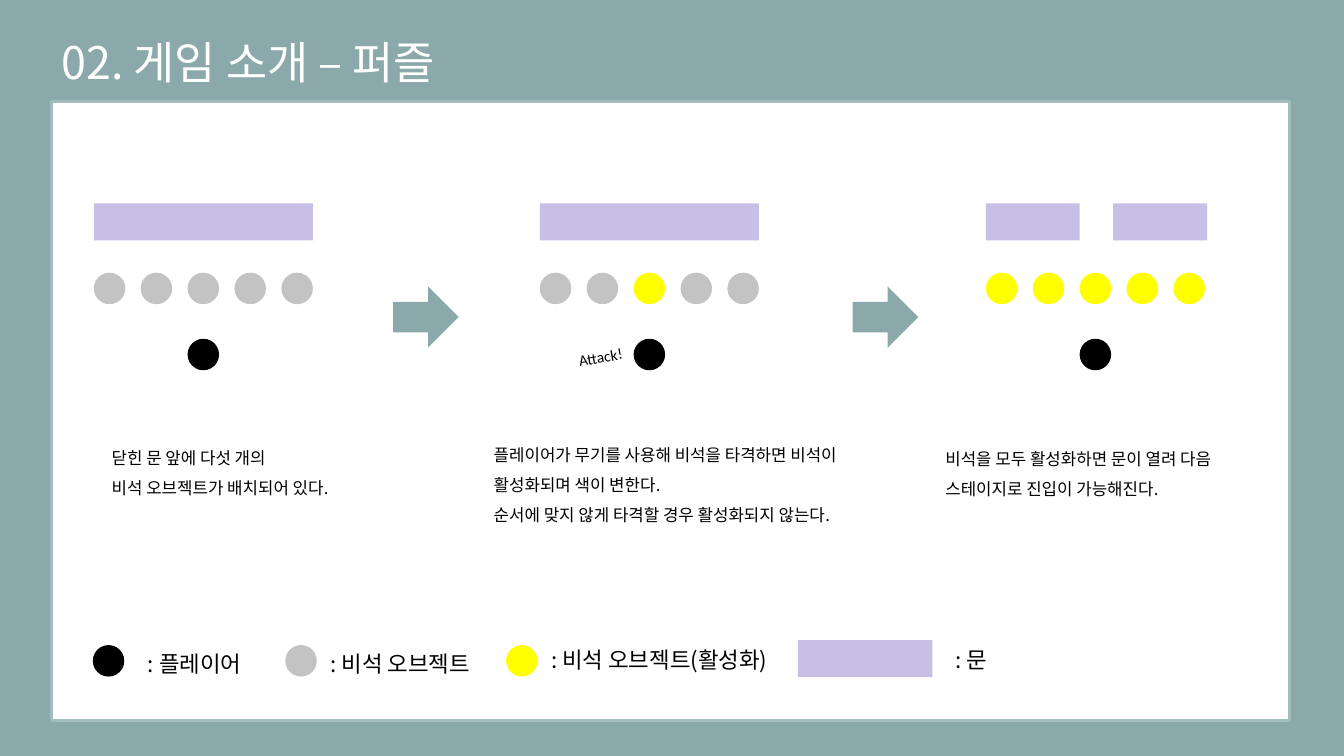
from pptx import Presentation
from pptx.dml.color import RGBColor
from pptx.enum.shapes import MSO_SHAPE as Kind
from pptx.oxml.ns import qn
from pptx.util import Pt
from lxml.etree import SubElement

SAGE, WHITE, BLACK = "8BA9AB", "FFFFFF", "000000"
EDGE, DOOR, GRAY, YELLOW = "A3BCBD", "C8BFE7", "C3C3C3", "FFFF00"
NOTO = "Noto Sans CJK KR"

TITLE = "02. 게임 소개 – 퍼즐"
# door pieces (offset, width), stone colours
SCENES = [
    ([(0, 156.5)], [GRAY] * 5),
    ([(0, 156.5)], [GRAY, GRAY, YELLOW, GRAY, GRAY]),
    ([(0, 67), (91, 67)], [YELLOW] * 5),
]
# left, top, width, height, lines
NOTES = [
    (72.7, 305.3, 198.7, 47.5,
     ["닫힌 문 앞에 다섯 개의", "비석 오브젝트가 배치되어 있다."]),
    (345.6, 303.1, 277.9, 77.8,
     ["플레이어가 무기를 사용해 비석을 타격하면 비석이 활성화되며 색이 변한다.",
      "순서에 맞지 않게 타격할 경우 활성화되지 않는다."]),
    (668.2, 306, 228.2, 59,
     ["비석을 모두 활성화하면 문이 열려 다음 스테이지로 진입이 가능해진다."]),
]
# kind, colour, left, top, width, height; label, left, top, width
LEGEND = [
    (Kind.OVAL, BLACK, 66.3, 460.8, 22.5, 22.5, ": 플레이어", 98.6, 457.2, 95.8),
    (Kind.OVAL, GRAY, 203.8, 460.8, 22.5, 22.5, ": 비석 오브젝트", 229, 457.2, 130.3),
    (Kind.OVAL, YELLOW, 361.5, 460.8, 22.5, 22.5, ": 비석 오브젝트(활성화)", 386.6, 454.3, 193.7),
    (Kind.RECTANGLE, DOOR, 570, 457.2, 96, 26.5, ": 문", 675.4, 454.3, 193.7),
]
LEFT, PITCH, STEP, DOT = 67, 318.6, 33.5, 22.5
ARROWS = [280.8, 609.1]

deck = Presentation()
deck.slide_width, deck.slide_height = Pt(960), Pt(540)
slide = deck.slides.add_slide(deck.slide_layouts[6])


def color(code):
    return RGBColor.from_string(code)


def shape(kind, x, y, w, h, fill, line=None):
    item = slide.shapes.add_shape(kind, Pt(x), Pt(y), Pt(w), Pt(h))
    item.shadow.inherit = False
    item.fill.solid()
    item.fill.fore_color.rgb = color(fill)
    if line:
        item.line.color.rgb = color(line)
        item.line.width = Pt(2.25)
    else:
        item.line.fill.background()


def text(lines, x, y, w, h, size=12, ink=BLACK, face=NOTO, pad=7.2,
         space=None, wrap=True, turn=0):
    box = slide.shapes.add_textbox(Pt(x), Pt(y), Pt(w), Pt(h))
    box.rotation = turn
    frame = box.text_frame
    frame.word_wrap = wrap
    frame.margin_left = frame.margin_right = Pt(7.2)
    frame.margin_top = frame.margin_bottom = Pt(pad)
    for i, line in enumerate(lines):
        para = frame.add_paragraph() if i else frame.paragraphs[0]
        para.line_spacing = space
        run = para.add_run()
        run.text = line
        run.font.size = Pt(size)
        run.font.color.rgb = color(ink)
        run.font.name = face
        SubElement(run.font._element, qn("a:ea")).set("typeface", face)


slide.background.fill.solid()
slide.background.fill.fore_color.rgb = color(SAGE)
shape(Kind.RECTANGLE, 36.7, 72.7, 884.2, 442.1, WHITE, EDGE)
text([TITLE], 36.7, 20.9, 527, 46, size=32, ink=WHITE, pad=3.6)

for i, (doors, stones) in enumerate(SCENES):
    left = LEFT + i * PITCH
    for x, w in doors:
        shape(Kind.RECTANGLE, left + x, 145.3, w, 26.5, DOOR)
    for j, fill in enumerate(stones):
        shape(Kind.OVAL, left + j * STEP, 194.8, DOT, DOT, fill)
    shape(Kind.OVAL, left + 2 * STEP, 242, DOT, DOT, BLACK)

for x in ARROWS:
    shape(Kind.RIGHT_ARROW, x, 204.7, 46.8, 43.6, SAGE)
text(["Attack!"], 406.1, 244.1, 53.3, 20.9, size=11, face="Calibri",
     pad=3.6, wrap=False, turn=350.2)

for x, y, w, h, lines in NOTES:
    text(lines, x, y, w, h, space=1.5)

for kind, fill, x, y, w, h, label, tx, ty, tw in LEGEND:
    shape(kind, x, y, w, h, fill)
    text([label], tx, ty, tw, 35.3, size=16)

deck.save("out.pptx")
